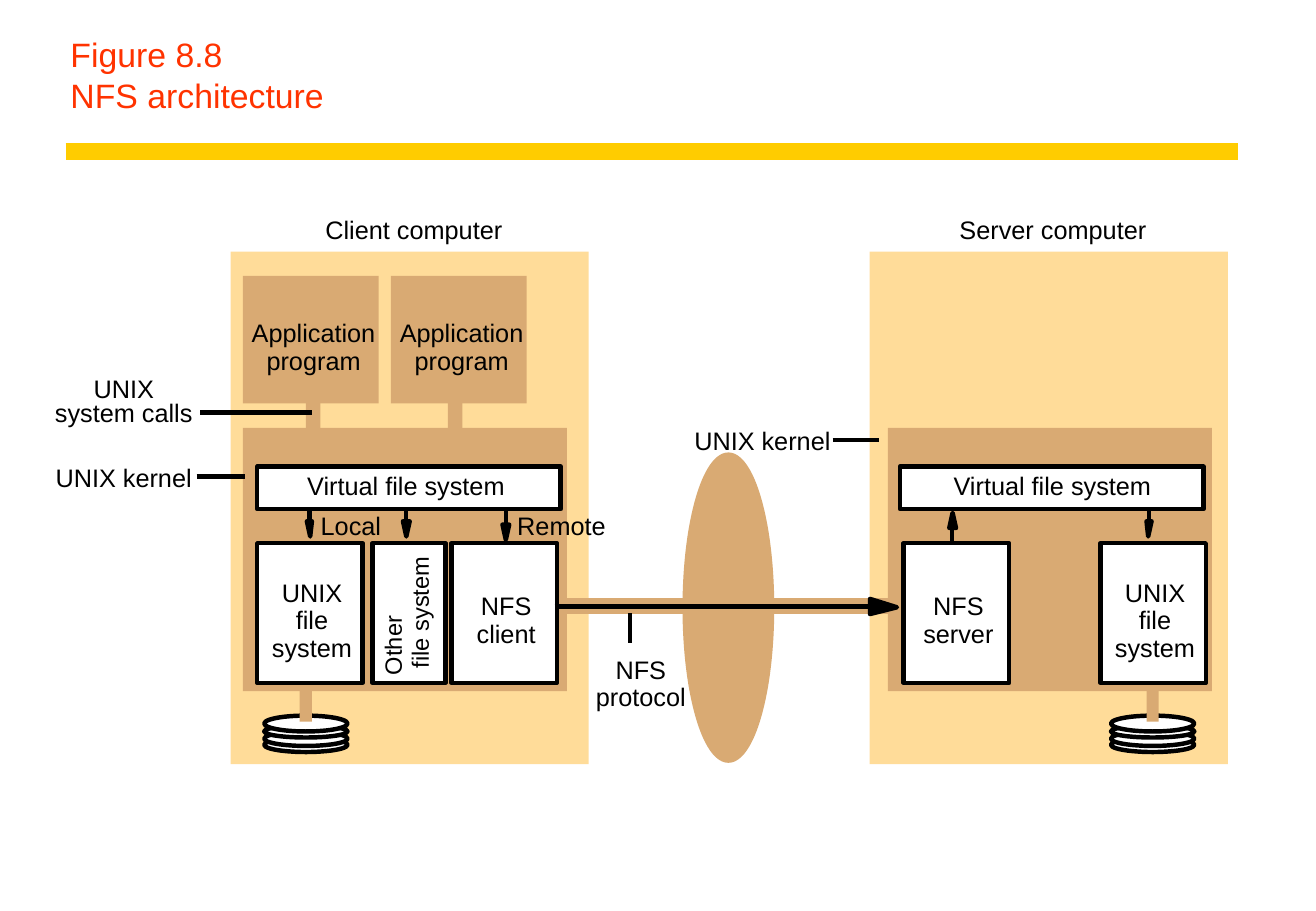
"""Build the slide on the NFS architecture."""
from pptx import Presentation
from pptx import util as u
from pptx.dml.color import RGBColor
from pptx.enum import shapes, text
from pptx.oxml.ns import qn
from lxml import etree

INK, PAPER, PANEL, TAN = "000000", "FFFFFF", "FFDC99", "D9AA73"
RULE, HEADING = "FFCC00", "FF3300"
FONT = "Arial"
STROKE = 2.64
PITCH = 16.3
RECT, OVAL = shapes.MSO_SHAPE.RECTANGLE, shapes.MSO_SHAPE.OVAL


def colour(value):
    """Turn a hex string into a colour."""
    return RGBColor.from_string(value)


def paint(shape, fill, line=None):
    """Give a shape its fill and its outline, without shadow."""
    shape.shadow.inherit = False
    shape.fill.solid()
    shape.fill.fore_color.rgb = colour(fill)
    if line:
        shape.line.color.rgb = colour(line)
        shape.line.width = u.Pt(STROKE)
    else:
        shape.line.fill.background()


def draw_block(slide, kind, left, top, width, height, fill, line=None):
    """Draw a preset shape."""
    shape = slide.shapes.add_shape(kind, u.Pt(left), u.Pt(top), u.Pt(width), u.Pt(height))
    paint(shape, fill, line)


def draw_line(slide, start, end, hue=INK, weight=STROKE):
    """Draw a straight line between two points."""
    connector = slide.shapes.add_connector(
        shapes.MSO_CONNECTOR.STRAIGHT, *(u.Pt(value) for value in (*start, *end)))
    connector.line.color.rgb = colour(hue)
    connector.line.width = u.Pt(weight)
    etree.SubElement(connector._element.spPr, qn("a:effectLst"))


def draw_arrow(slide, start, tip, length=9, half=1.8):
    """Draw a line that ends in a narrow solid head."""
    dx, dy = tip[0] - start[0], tip[1] - start[1]
    span = (dx ** 2 + dy ** 2) ** 0.5
    dx, dy = dx / span, dy / span
    base = (tip[0] - dx * length, tip[1] - dy * length)
    wings = [(base[0] - side * dy * half, base[1] + side * dx * half) for side in (1, -1)]
    builder = slide.shapes.build_freeform(*wings[0], scale=u.Pt(1))
    builder.add_line_segments([tip, wings[1]], close=True)
    paint(builder.convert_to_shape(), INK, INK)
    draw_line(slide, start, base)


def format_text(text_frame, size, hue, pitch, alignment):
    """Format every paragraph and run of a text frame."""
    for paragraph in text_frame.paragraphs:
        paragraph.alignment = alignment
        paragraph.line_spacing = u.Pt(pitch)
        for run in paragraph.runs:
            run.font.name = FONT
            run.font.size = u.Pt(size)
            run.font.color.rgb = colour(hue)


def draw_label(slide, centre, top, words, pitch=PITCH):
    """Write centred lines around a vertical axis."""
    lines = words.split("\n")
    width = 9.2 * max(len(line) for line in lines)
    shape = slide.shapes.add_textbox(u.Pt(centre - width / 2), u.Pt(top + 18 - pitch),
                                     u.Pt(width), u.Pt(pitch * len(lines)))
    fill_label(shape, words, 15, pitch, text.PP_ALIGN.CENTER)


def fill_label(shape, words, size, pitch, alignment):
    """Put text without margins in a text box."""
    frame = shape.text_frame
    frame.margin_left = frame.margin_right = frame.margin_top = frame.margin_bottom = 0
    frame.word_wrap = True
    frame.text = words
    format_text(frame, size, INK, pitch, alignment)


def draw_title(slide, left, top, width, height):
    """Place the title and the rule below it."""
    title = slide.shapes.title
    title.left, title.top, title.width, title.height = map(u.Pt, (left, top, width, height))
    frame = title.text_frame
    frame.text = "Figure 8.8\vNFS architecture"
    frame.auto_size = text.MSO_AUTO_SIZE.NONE
    frame.vertical_anchor = text.MSO_ANCHOR.BOTTOM
    format_text(frame, 20, HEADING, 24.3, text.PP_ALIGN.LEFT)
    draw_line(slide, (left + 4.3, top + 72), (left + width, top + 72), RULE, 10)


def draw_disk(slide, centre, top):
    """Draw a stack of platters and the pipe that reaches it."""
    for offset, height in ((13, 8.6), (9.4, 8.6), (5.8, 7.2), (0, 9.4)):
        draw_block(slide, OVAL, centre - 24.7, top + offset, 49.4, height, PAPER, INK)
    draw_block(slide, RECT, centre - 3.6, top - 30, 7.2, 33.6, TAN)


def draw_module(slide, left, top, width, words):
    """Draw a kernel module with its name in the middle."""
    draw_block(slide, RECT, left, top, width, 82.8, PAPER, INK)
    if words:
        lines = words.count("\n") + 1
        draw_label(slide, left + 32.4, top + 44.3 - lines * PITCH / 2, words)


def draw_computer(slide, left, top, name, kernel, virtual, caption, modules, arrows, disk):
    """Draw a computer with its kernel, file systems and disk."""
    draw_block(slide, RECT, left, top, 212.4, 303.8, PANEL)
    draw_label(slide, left + 108.7, top - 22.3, name)
    draw_block(slide, RECT, left + kernel, top + 104.4, 192.2, 156.2, TAN)
    draw_disk(slide, left + disk, top + 275)
    for x, start, tip in arrows:
        draw_arrow(slide, (left + x, top + start), (left + x, top + tip))
    for x, width, words in modules:
        draw_module(slide, left + x, top + 172.8, width, words)
    draw_block(slide, RECT, left + virtual, top + 127.4, 180, 25.2, PAPER, INK)
    draw_label(slide, left + caption, top + 129.6, "Virtual file system")


def draw_client(slide, left, top):
    """Draw the client with its programs and side labels."""
    draw_computer(slide, left, top, "Client computer", 7.2, 15.8, 104,
                  ((15.8, 62.6, "UNIX\nfile\nsystem"), (84.2, 43.2, ""),
                   (131, 62.6, "NFS\nclient")),
                  ((46.8, 149, 169.2), (104, 149, 169.2), (163.4, 149, 170.6)), 44.6)
    for x, pipe in ((7.2, 44.6), (95, 128.9)):
        draw_block(slide, RECT, left + x, top + 14.4, 80.6, 75.6, TAN)
        draw_block(slide, RECT, left + pipe, top + 82.8, 8.6, 28.8, TAN)
        draw_label(slide, left + x + 42, top + 38.9, "Application\nprogram")
    draw_label(slide, left + 71.3, top + 153.4, "Local")
    draw_label(slide, left + 196.2, top + 153.4, "Remote")
    other = slide.shapes.add_textbox(u.Pt(left + 65.1), u.Pt(top + 198.7),
                                     u.Pt(80), u.Pt(33.8))
    other.left, other.top = u.Pt(left + 65.1), u.Pt(top + 194)
    other.rotation = 270
    fill_label(other, "Other\n file system", 14, 16.1, text.PP_ALIGN.LEFT)
    draw_label(slide, left - 63.4, top + 72, "UNIX\nsystem calls", 14.4)
    draw_line(slide, (left - 18, top + 95.4), (left + 48.2, top + 95.4))
    draw_label(slide, left - 63.4, top + 124.6, "UNIX kernel")
    draw_line(slide, (left - 20.2, top + 133.2), (left + 8.6, top + 133.2))


def draw_server(slide, left, top):
    """Draw the server and its side label."""
    draw_computer(slide, left, top, "Server computer", 10.8, 18, 108.4,
                  ((20.2, 62.6, "NFS\nserver"), (136.8, 62.6, "UNIX\nfile\nsystem")),
                  ((49, 174.2, 154.8), (165.6, 151.2, 169.2)), 167.8)


def draw_network(slide, left, axis, right):
    """Draw the network between both computers and the protocol arrow."""
    draw_block(slide, RECT, left, axis - 5, right - left, 9.4, TAN)
    draw_block(slide, OVAL, left + 74.2, axis - 90, 51.8, 181.4, TAN, TAN)
    draw_arrow(slide, (left - 2.9, axis), (right - 2.2, axis), 16, 4.3)
    draw_line(slide, (left + 41.8, axis + 21.6), (left + 41.8, axis + 3.6))
    draw_label(slide, left + 48.2, axis + 28.1, "NFS\nprotocol")
    draw_label(slide, right - 82, axis - 107.3, "UNIX kernel")
    draw_line(slide, (right - 40.3, axis - 98.7), (right - 12.9, axis - 98.7))


def main():
    """Build and save the presentation."""
    presentation = Presentation()
    presentation.slide_width, presentation.slide_height = u.Pt(780.48), u.Pt(540)
    slide = presentation.slides.add_slide(presentation.slide_layouts[5])
    draw_title(slide, 34.6, 18, 699.8, 54)
    draw_client(slide, 136.8, 149.2)
    draw_server(slide, 515.8, 149.2)
    draw_network(slide, 331.9, 359.5, 534.2)
    presentation.save("out.pptx")


if __name__ == "__main__":
    main()
